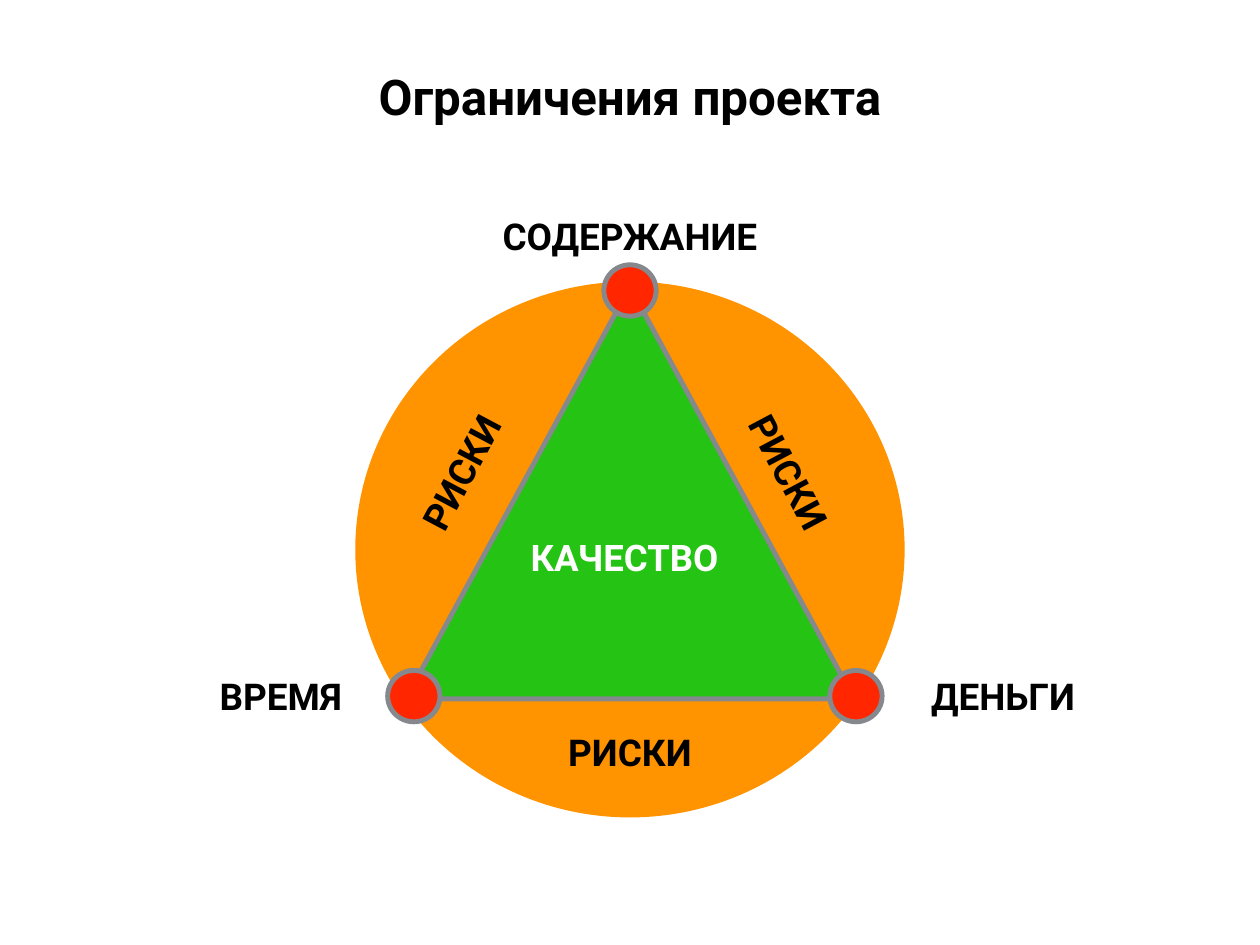
import pptx
import pptx.dml.color
import pptx.enum.shapes
import pptx.enum.text
import pptx.util

Inches = pptx.util.Inches
RGBColor = pptx.dml.color.RGBColor
MSO_SHAPE = pptx.enum.shapes.MSO_SHAPE
MSO_ANCHOR = pptx.enum.text.MSO_ANCHOR

WHITE = RGBColor(0xFF, 0xFF, 0xFF)
BLACK = RGBColor(0x00, 0x00, 0x00)
ORANGE = RGBColor(0xFF, 0x93, 0x00)
GREEN = RGBColor(0x25, 0xC3, 0x13)
RED = RGBColor(0xFF, 0x26, 0x00)
GRAY = RGBColor(0x85, 0x88, 0x8D)

FONT = "Roboto"
LABEL_HEIGHT = 1.08
NODE_WIDTH, NODE_HEIGHT = 0.59, 0.58

# Offsets from the top middle of the circle
TRIANGLE_CORNERS = [(0, 0.06), (2.53, 4.71), (-2.53, 4.71)]
NODE_CENTRES = [(-2.44, 4.68), (0, 0.1), (2.55, 4.68)]

# Text, centre offset, width, rotation, size, colour
LABELS = [
    ("РИСКИ", 0, 5.31, 5.16, 0, 30, BLACK),
    ("КАЧЕСТВО", -0.06, 3.11, 2.43, 0, 29.7, WHITE),
    ("ВРЕМЯ", -3.94, 4.68, 4.45, 0, 30, BLACK),
    ("ДЕНЬГИ", 4.21, 4.68, 4.93, 0, 30, BLACK),
    ("СОДЕРЖАНИЕ", 0, -0.52, 5.16, 0, 30, BLACK),
    ("РИСКИ", -1.91, 2.15, 4.11, 298, 30, BLACK),
    ("РИСКИ", 1.8, 2.15, 4.11, 62, 30, BLACK),
]


def write_text(shape, text, size, color, anchor):
    frame = shape.text_frame
    frame.text = text
    frame.word_wrap = True
    frame.auto_size = pptx.enum.text.MSO_AUTO_SIZE.NONE
    frame.vertical_anchor = anchor
    frame.margin_left = frame.margin_right = Inches(0.06)
    frame.margin_top = frame.margin_bottom = Inches(0.06)
    para = frame.paragraphs[0]
    para.alignment = pptx.enum.text.PP_ALIGN.CENTER
    font = para.runs[0].font
    font.name = FONT
    font.size = pptx.util.Pt(size)
    font.bold = True
    font.color.rgb = color


def paint(shape, fill, outlined=True):
    shape.shadow.inherit = False
    shape.fill.solid()
    shape.fill.fore_color.rgb = fill
    if outlined:
        shape.line.color.rgb = GRAY
        shape.line.width = pptx.util.Pt(4)
    else:
        shape.line.fill.background()


def place_title(slide, left, top, width, height):
    title = slide.shapes.title
    title.left, title.top = Inches(left), Inches(top)
    title.width, title.height = Inches(width), Inches(height)
    write_text(title, "Ограничения проекта", 40, BLACK, MSO_ANCHOR.BOTTOM)


def draw_constraints(slide, left, top, width, height):
    shapes = slide.shapes
    middle = left + width / 2

    # Risk circle
    circle = shapes.add_shape(MSO_SHAPE.OVAL, Inches(left), Inches(top),
                              Inches(width), Inches(height))
    paint(circle, ORANGE, outlined=False)

    # Quality triangle
    corners = [(Inches(middle + x), Inches(top + y)) for x, y in TRIANGLE_CORNERS]
    builder = shapes.build_freeform(*corners[0])
    builder.add_line_segments(corners[1:], close=True)
    paint(builder.convert_to_shape(), GREEN)

    # Constraint nodes at the corners
    for x, y in NODE_CENTRES:
        node = shapes.add_shape(
            MSO_SHAPE.OVAL,
            Inches(middle + x - NODE_WIDTH / 2), Inches(top + y - NODE_HEIGHT / 2),
            Inches(NODE_WIDTH), Inches(NODE_HEIGHT))
        paint(node, RED)

    # Labels
    for text, x, y, label_width, rotation, size, color in LABELS:
        label = shapes.add_textbox(
            Inches(middle + x - label_width / 2), Inches(top + y - LABEL_HEIGHT / 2),
            Inches(label_width), Inches(LABEL_HEIGHT))
        label.rotation = rotation
        write_text(label, text, size, color, MSO_ANCHOR.MIDDLE)


def main():
    deck = pptx.Presentation()
    deck.slide_width, deck.slide_height = Inches(14.22), Inches(10.67)
    slide = deck.slides.add_slide(deck.slide_layouts.get_by_name("Title Only"))
    slide.background.fill.solid()
    slide.background.fill.fore_color.rgb = WHITE
    place_title(slide, 0.85, 0.5, 12.52, 0.97)
    draw_constraints(slide, 4.01, 3.18, 6.2, 6.05)
    deck.save("out.pptx")


if __name__ == "__main__":
    main()
